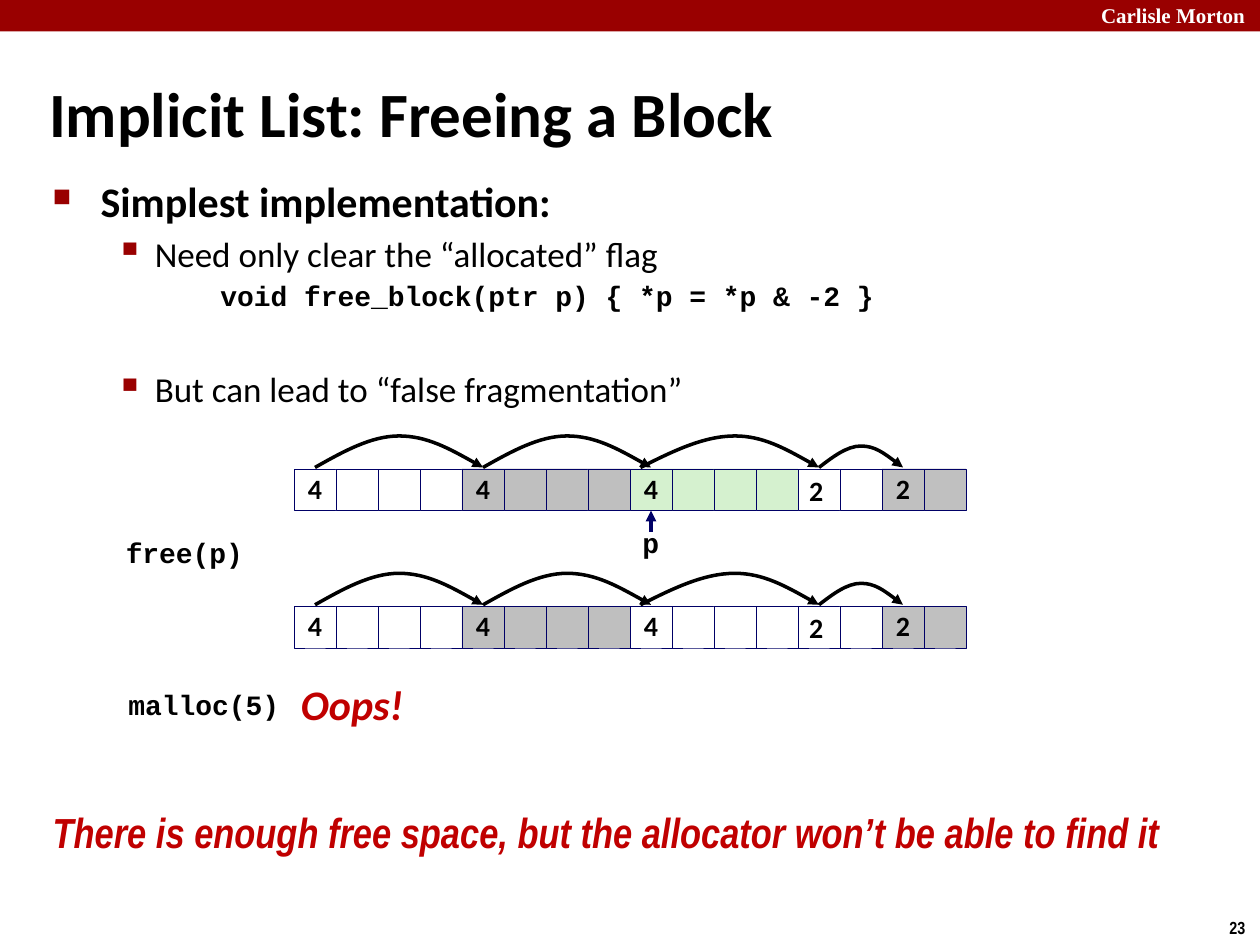
from lxml import etree
from pptx import Presentation
from pptx.dml.color import RGBColor
from pptx.enum.shapes import MSO_CONNECTOR, MSO_SHAPE
from pptx.enum.text import MSO_ANCHOR, MSO_AUTO_SIZE, PP_ALIGN
from pptx.oxml.ns import qn
from pptx.util import Inches, Pt

RECTANGLE = MSO_SHAPE.RECTANGLE
STRAIGHT = MSO_CONNECTOR.STRAIGHT
LEFT, CENTER = PP_ALIGN.LEFT, PP_ALIGN.CENTER
MIDDLE = MSO_ANCHOR.MIDDLE
GROW, FIXED = MSO_AUTO_SIZE.SHAPE_TO_FIT_TEXT, MSO_AUTO_SIZE.NONE

BLACK = RGBColor(0x00, 0x00, 0x00)
WHITE = RGBColor(0xFF, 0xFF, 0xFF)
DARK_RED = RGBColor(0x99, 0x00, 0x00)
RED = RGBColor(0xC0, 0x00, 0x00)
NAVY = RGBColor(0x00, 0x00, 0x66)
GRAY = RGBColor(0xBF, 0xBF, 0xBF)
SILVER = RGBColor(0xC0, 0xC0, 0xC0)
GREEN = RGBColor(0xD5, 0xF1, 0xCF)

TITLE = "Implicit List: Freeing a Block"
MONO = {"font": "Courier New", "size": 16}

# text, left margin, hanging indent, space before, bullet (symbol, size %), format
BODY = [
    ("Simplest implementation:", 0.38, 0.38, 4.8, ("■", 60), {"size": 24}),
    ("Need only clear the “allocated” flag", 0.81, 0.31, 4, ("▪", 110),
     {"size": 20, "bold": False}),
    ("void free_block(ptr p) { *p = *p & -2 }", 1.33, 0, 2, None,
     {**MONO, "spacing": 1.01}),
    ("But can lead to “false fragmentation”", 0.81, 0.31, 32, ("▪", 110),
     {"size": 20, "bold": False}),
]

# text, left, top, width, height, format
LABELS = [
    ("Carlisle Morton", 8.64, -0.03, 1.43, 0.3,
     {"font": "Times New Roman", "size": 12, "color": WHITE}),
    ("23", 9.66, 7.23, 0.34, 0.27, {"font": "Arial Narrow", "size": 10}),
    ("free(p)", 0.9, 4.22, 1.14, 0.36, {**MONO, "spacing": 0.94}),
    ("p", 5, 4.14, 0.33, 0.36, {**MONO, "spacing": 0.94}),
    ("malloc(5)", 0.92, 5.43, 1.41, 0.36, {**MONO, "spacing": 0.94}),
    ("Oops!", 2.29, 5.33, 1.03, 0.5,
     {"size": 24, "color": RED, "italic": True, "spacing": 1.02}),
    ("There is enough free space, but the allocator won’t be able to find it",
     0.32, 6.35, 9.13, 0.81,
     {"font": "Arial Narrow", "size": 24, "color": RED, "italic": True}),
]

# words in each block, and the fill of each block before and after free(p)
BLOCK_SIZES = [4, 4, 4, 2, 2]
HEAPS = [
    (3.72, [WHITE, GRAY, GREEN, WHITE, SILVER]),
    (4.81, [WHITE, GRAY, WHITE, WHITE, SILVER]),
]
CELL = 1 / 3
HEAP_LEFT = 7 / 3
POINTED_BLOCK = 2   # the block that p points to
LABELLED_BLOCK = 3  # its size stands in a text box over the cell


def write(paragraph, text, font="Calibri", size=16, color=BLACK, bold=True,
          italic=False, align=LEFT, spacing=None):
    paragraph.alignment = align
    if spacing:
        paragraph.line_spacing = spacing
    run = paragraph.add_run()
    run.text = text
    run.font.name = font
    run.font.size = Pt(size)
    run.font.color.rgb = color
    run.font.bold = bold
    run.font.italic = italic


def add_label(slide, text, left, top, width, height, **text_format):
    box = slide.shapes.add_textbox(Inches(left), Inches(top), Inches(width), Inches(height))
    box.text_frame.word_wrap = False
    box.text_frame.auto_size = GROW
    write(box.text_frame.paragraphs[0], text, **text_format)


def add_rectangle(slide, left, top, width, height, fill, outline=None):
    shape = slide.shapes.add_shape(
        RECTANGLE, Inches(left), Inches(top), Inches(width), Inches(height))
    shape.shadow.inherit = False
    shape.fill.solid()
    shape.fill.fore_color.rgb = fill
    if outline:
        shape.line.color.rgb = outline
        shape.line.width = Pt(0.25)
    else:
        shape.line.fill.background()
    return shape


def style_arrow(shape, color):
    shape.line.color.rgb = color
    shape.line.width = Pt(2)
    etree.SubElement(shape.line._get_or_add_ln(), qn("a:tailEnd"), type="triangle")


def add_arc(slide, start, middle, end, base, height):
    """Draw a curved arrow that rises from start to middle and falls to end."""
    top = base - height
    points = [
        (start + (middle - start) / 3, base - height / 2),
        (start + (middle - start) * 2 / 3, top),
        (middle, top),
        (middle + (end - middle) / 3, top),
        (middle + (end - middle) * 2 / 3, base - height / 2),
        (end, base),
    ]
    builder = slide.shapes.build_freeform(Inches(start), Inches(base))
    builder.add_line_segments([(Inches(x), Inches(y)) for x, y in points], close=False)
    shape = builder.convert_to_shape()
    outline = next(shape._element.iter(qn("a:path")))
    segments = outline.findall(qn("a:lnTo"))
    for first in (0, 3):
        curve = etree.SubElement(outline, qn("a:cubicBezTo"))
        for segment in segments[first:first + 3]:
            curve.append(segment[0])
            outline.remove(segment)
    shape.shadow.inherit = False
    shape.fill.background()
    style_arrow(shape, BLACK)


def add_heap(slide, top, fills):
    """Draw a row of blocks with arcs and return the first cell of each block."""
    heads, centers = [], []
    left = HEAP_LEFT
    for block, (size, fill) in enumerate(zip(BLOCK_SIZES, fills)):
        cells = [add_rectangle(slide, left + i * CELL, top, CELL, CELL, fill, NAVY)
                 for i in range(size)]
        if block == LABELLED_BLOCK:
            add_label(slide, str(size), left - 0.01, top, 0.31, 0.37, spacing=0.98)
        else:
            frame = cells[0].text_frame
            frame.word_wrap = False
            frame.vertical_anchor = MIDDLE
            write(frame.paragraphs[0], str(size), align=CENTER, spacing=0.98)
        heads.append(cells[0])
        centers.append(left + CELL / 2)
        left += size * CELL

    for block, (start, end) in enumerate(zip(centers, centers[1:])):
        middle = (start + end) / 2
        if block == POINTED_BLOCK:
            start -= CELL / 4
        height = 0.25 if BLOCK_SIZES[block] == 4 else 0.17
        add_arc(slide, start, middle, end, top - 0.01, height)
    return heads


def add_body(slide):
    box = slide.shapes.add_textbox(Inches(0.32), Inches(1.34), Inches(9.09), Inches(4.75))
    frame = box.text_frame
    frame.word_wrap = True
    for index, (text, margin, hanging, before, bullet, text_format) in enumerate(BODY):
        paragraph = frame.add_paragraph() if index else frame.paragraphs[0]
        write(paragraph, text, **text_format)
        paragraph.space_before = Pt(before)
        properties = paragraph._p.get_or_add_pPr()
        properties.set("marL", str(Inches(margin)))
        properties.set("indent", str(-Inches(hanging)))
        if bullet:
            symbol, percent = bullet
            color = etree.SubElement(properties, qn("a:buClr"))
            etree.SubElement(color, qn("a:srgbClr"), val=str(DARK_RED))
            etree.SubElement(properties, qn("a:buSzPct"), val=str(percent * 1000))
            etree.SubElement(properties, qn("a:buChar"), char=symbol)


def main():
    presentation = Presentation()
    presentation.slide_width, presentation.slide_height = Inches(10), Inches(7.5)
    slide = presentation.slides.add_slide(presentation.slide_layouts[5])

    title = slide.shapes.title
    title.left, title.top = Inches(0.29), Inches(0.58)
    title.width, title.height = Inches(7.88), Inches(0.63)
    title.text_frame.auto_size = FIXED
    title.text_frame.vertical_anchor = MIDDLE
    write(title.text_frame.paragraphs[0], TITLE, size=36)

    add_rectangle(slide, 0, 0, 10, 0.25, DARK_RED)
    add_body(slide)
    heads_before, _ = [add_heap(slide, top, fills) for top, fills in HEAPS]
    for text, left, top, width, height, text_format in LABELS:
        add_label(slide, text, left, top, width, height, **text_format)

    pointed = heads_before[POINTED_BLOCK]
    center = pointed.left + pointed.width // 2
    pointer = slide.shapes.add_connector(
        STRAIGHT, center, Inches(4.22), center, pointed.top + pointed.height)
    pointer.end_connect(pointed, 2)
    style_arrow(pointer, NAVY)
    etree.SubElement(pointer._element.spPr, qn("a:effectLst"))

    presentation.save("out.pptx")


if __name__ == "__main__":
    main()
